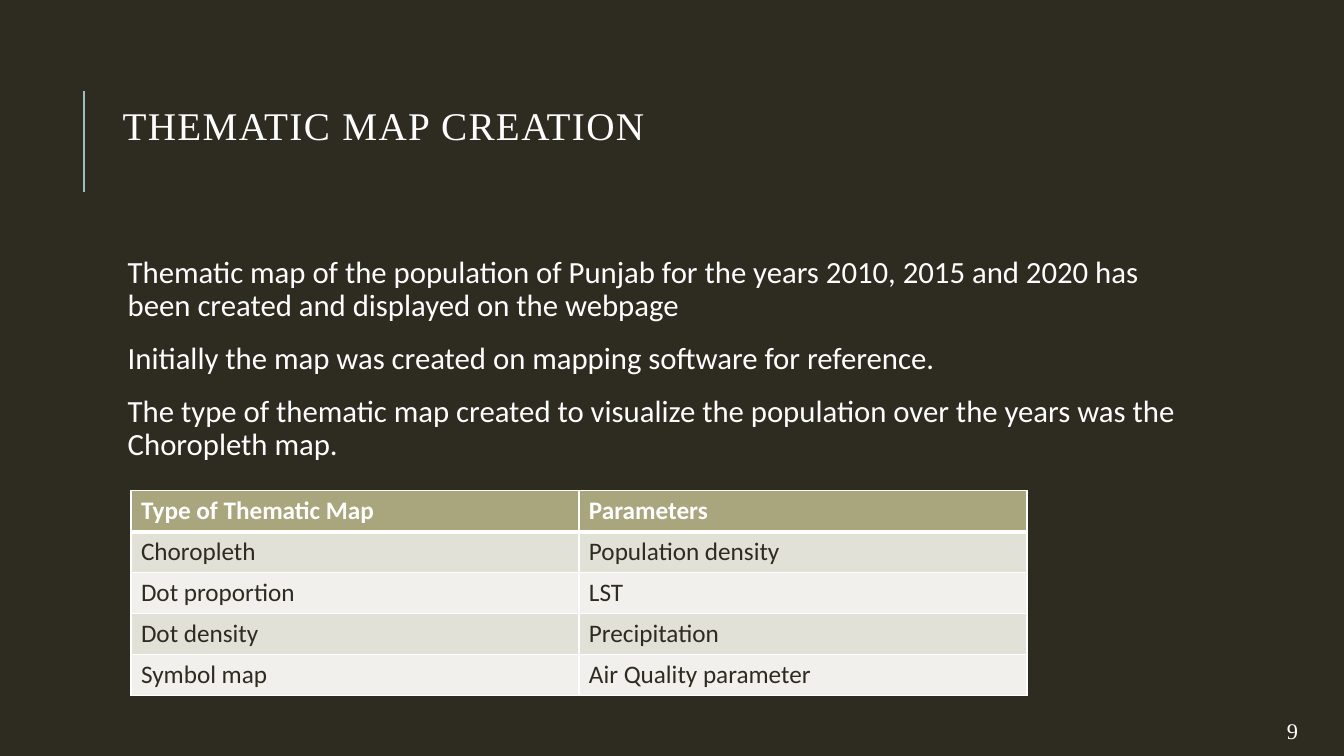
from dataclasses import dataclass

from lxml import etree
from pptx import Presentation
from pptx import util as u
from pptx.dml.color import RGBColor
from pptx.enum import shapes, text
from pptx.oxml.ns import qn

TITLE = "THEMATIC MAP CREATION"
STATEMENTS = [
    "Thematic map of the population of Punjab for the years 2010, 2015 and 2020 "
    "has been created and displayed on the webpage",
    "Initially the map was created on mapping software for reference.",
    "The type of thematic map created to visualize the population over the years "
    "was the Choropleth map.",
]
MAP_TYPES = [
    ("Type of Thematic Map", "Parameters"),
    ("Choropleth", "Population density"),
    ("Dot proportion", "LST"),
    ("Dot density", "Precipitation"),
    ("Symbol map", "Air Quality parameter"),
]
PAGE_NUMBER = "9"


@dataclass(frozen=True)
class Theme:
    background: str = "2E2B21"
    light: str = "FFFFFF"
    accent: str = "9CBEBD"
    header: str = "A9A57C"
    bands: tuple = ("E2E1D7", "F1F0EC")
    heading_font: str = "Times New Roman"
    body_font: str = "Calibri"
    title_size: int = 28
    body_size: int = 22
    table_size: int = 18
    number_size: int = 16
    border: int = 1
    header_border: int = 3


THEME = Theme()
LEFT, WIDTH = 2.84, 27
RULE_X, RULE_TOP, RULE_BOTTOM = 2.11, 2.29, 4.83
TABLE_LEFT, TABLE_TOP, COLUMN_WIDTH, ROW_HEIGHT = 3.3, 12.37, 11.29, 1.03


def color(value):
    return RGBColor.from_string(value)


def format_runs(paragraph, font, size, fill, bold=False):
    for run in paragraph.runs:
        run.font.name = font
        run.font.size = u.Pt(size)
        run.font.color.rgb = color(fill)
        run.font.bold = bold


def add_text(slide, box, lines, font, size, anchor):
    shape = slide.shapes.add_textbox(*map(u.Cm, box))
    frame = shape.text_frame
    frame.text = "\n".join(lines)
    frame.word_wrap = True
    frame.vertical_anchor = anchor
    for paragraph in frame.paragraphs:
        format_runs(paragraph, font, size, THEME.light)
    return frame


def set_border(cell, side, width):
    line = etree.SubElement(cell._tc.get_or_add_tcPr(), qn(f"a:ln{side}"), w=str(u.Pt(width)))
    fill = etree.SubElement(line, qn("a:solidFill"))
    etree.SubElement(fill, qn("a:srgbClr"), val=THEME.light)


def add_rule(slide):
    x = u.Cm(RULE_X)
    rule = slide.shapes.add_connector(
        shapes.MSO_CONNECTOR.STRAIGHT, x, u.Cm(RULE_BOTTOM), x, u.Cm(RULE_TOP))
    rule.line.color.rgb = color(THEME.accent)
    rule.line.width = u.Pt(1.5)
    etree.SubElement(rule._element.spPr, qn("a:effectLst"))


def add_title(slide):
    frame = add_text(slide, (LEFT, 1.63, WIDTH, 4.17), [TITLE],
                     THEME.heading_font, THEME.title_size, text.MSO_ANCHOR.MIDDLE)
    frame.margin_bottom = u.Cm(1.04)
    paragraph = frame.paragraphs[0]
    paragraph.line_spacing = 0.8
    paragraph.runs[0].font._element.set("spc", "100")


def add_statements(slide):
    frame = add_text(slide, (LEFT, 6.35, WIDTH, 11.18), STATEMENTS,
                     THEME.body_font, THEME.body_size, text.MSO_ANCHOR.TOP)
    frame.margin_left = u.Cm(0.38)
    frame.margin_top = frame.margin_right = frame.margin_bottom = u.Cm(0.13)
    for index, paragraph in enumerate(frame.paragraphs):
        paragraph.line_spacing = 0.9
        paragraph.space_before = u.Pt(12 if index else 0)
        paragraph.space_after = u.Pt(2)


def add_map_table(slide):
    rows, columns = len(MAP_TYPES), len(MAP_TYPES[0])
    table = slide.shapes.add_table(
        rows, columns, u.Cm(TABLE_LEFT), u.Cm(TABLE_TOP),
        u.Cm(columns * COLUMN_WIDTH), u.Cm(rows * ROW_HEIGHT)).table
    for row_index, values in enumerate(MAP_TYPES):
        is_header = row_index == 0
        table.rows[row_index].height = u.Cm(ROW_HEIGHT)
        edges = {
            "L": THEME.border,
            "R": THEME.border,
            "T": THEME.header_border if row_index == 1 else THEME.border,
            "B": THEME.header_border if is_header else THEME.border,
        }
        for column_index, value in enumerate(values):
            cell = table.cell(row_index, column_index)
            cell.text_frame.text = value
            for side, width in edges.items():
                set_border(cell, side, width)
            cell.fill.solid()
            cell.fill.fore_color.rgb = color(
                THEME.header if is_header else THEME.bands[(row_index - 1) % 2])
            format_runs(cell.text_frame.paragraphs[0], THEME.body_font, THEME.table_size,
                        THEME.light if is_header else THEME.background, is_header)


def main():
    presentation = Presentation()
    presentation.slide_width = u.Cm(33.87)
    presentation.slide_height = u.Cm(19.05)
    slide = presentation.slides.add_slide(presentation.slide_layouts[6])
    slide.background.fill.solid()
    slide.background.fill.fore_color.rgb = color(THEME.background)
    add_rule(slide)
    add_title(slide)
    add_statements(slide)
    add_text(slide, (32.18, 18.03, 2.69, 0.76), [PAGE_NUMBER],
             THEME.heading_font, THEME.number_size, text.MSO_ANCHOR.MIDDLE)
    add_map_table(slide)
    presentation.save("out.pptx")


if __name__ == "__main__":
    main()
